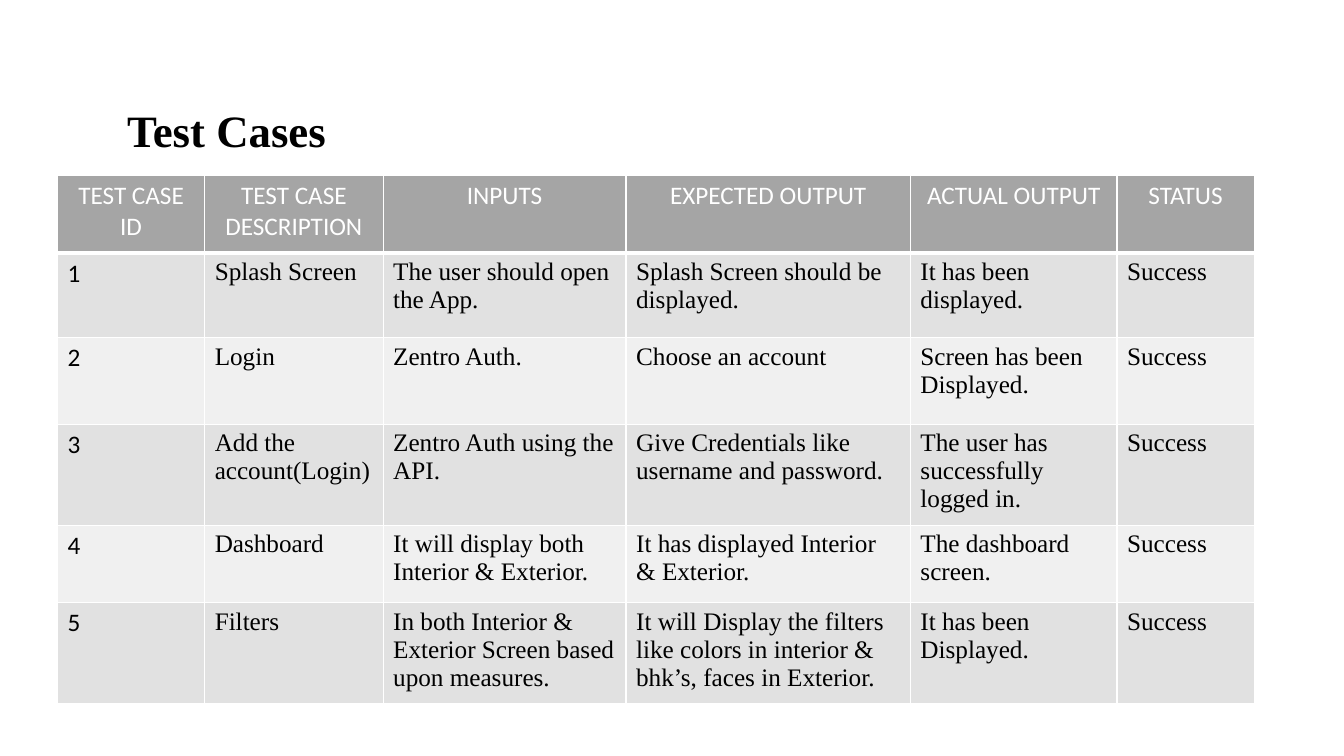
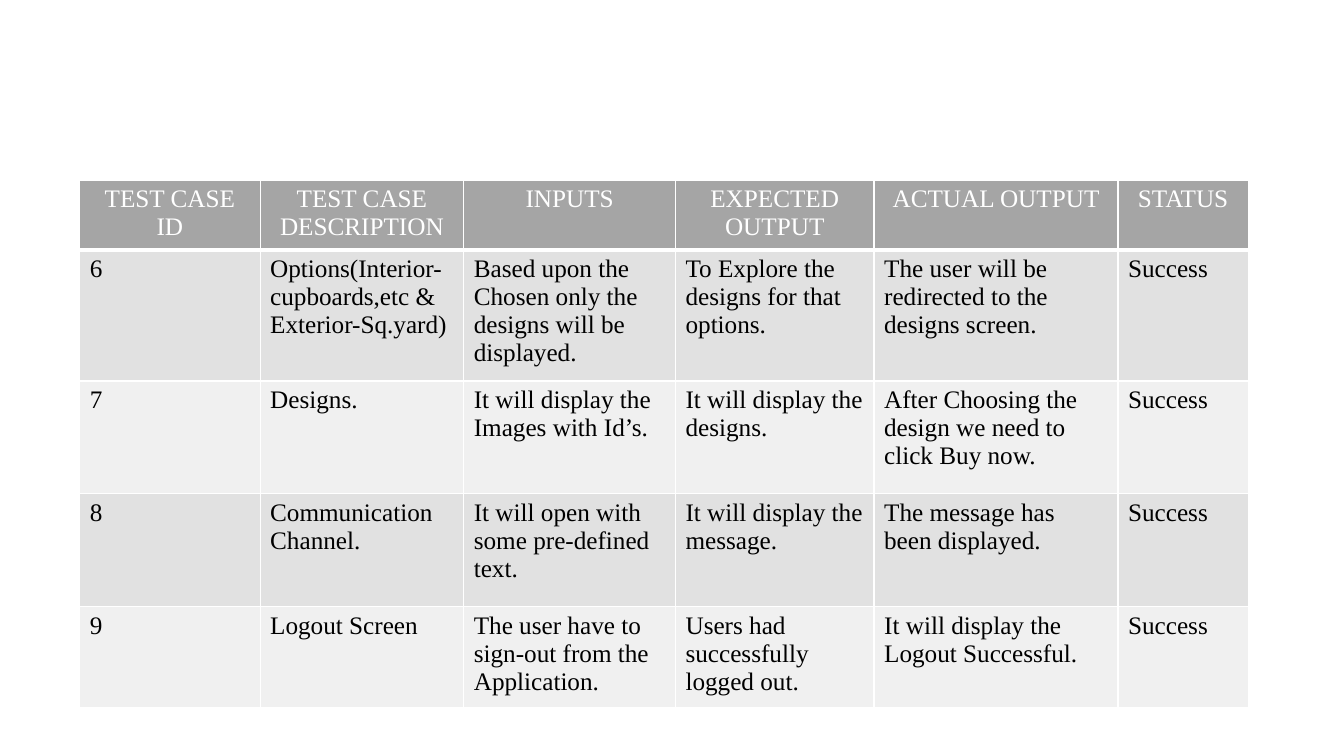
from pptx import Presentation
from pptx.dml.color import RGBColor
from pptx.enum.text import MSO_ANCHOR, PP_ALIGN
from pptx.oxml.xmlchemy import OxmlElement
from pptx.util import Inches, Pt

CENTER, LEFT, JUSTIFY = PP_ALIGN.CENTER, PP_ALIGN.LEFT, PP_ALIGN.JUSTIFY
MIDDLE = MSO_ANCHOR.MIDDLE
TITLE_ONLY, BLANK = 5, 6

COLORS = {"header": "A5A5A5", "odd": "E1E1E1", "even": "F0F0F0",
          "white": "FFFFFF", "black": "000000"}
SERIF, SANS = "Times New Roman", "Calibri"

# Content
HEADERS = ["TEST CASE ID", "TEST CASE DESCRIPTION", "INPUTS",
           "EXPECTED OUTPUT", "ACTUAL OUTPUT", "STATUS"]
STATUS = "Success"
SLIDES = [
    {
        "title": "Test Cases",
        "label_font": SANS,
        "origin": (0.57, 1.74),
        "cols": [1.46, 1.77, 2.41, 2.82, 2.05, 1.36],
        "rows": [0.77, 0.84, 0.86, 1, 0.77, 1],
        "cases": [
            ("1", "Splash Screen", "The user should open the App.",
             "Splash Screen should be displayed.", "It has been displayed."),
            ("2", "Login", "Zentro Auth.", "Choose an account",
             "Screen has been Displayed."),
            ("3", "Add the account(Login)", "Zentro Auth using the API.",
             "Give Credentials like username and password.",
             "The user has successfully logged in."),
            ("4", "Dashboard", "It will display both Interior & Exterior.",
             "It has displayed Interior & Exterior.", "The dashboard screen."),
            ("5", "Filters",
             "In both Interior & Exterior Screen based upon measures.",
             "It will Display the filters like colors in interior & bhk’s, "
             "faces in Exterior.", "It has been Displayed."),
        ],
    },
    {
        "title": None,
        "label_font": SERIF,
        "origin": (0.79, 1.79),
        "cols": [1.79, 2.02, 2.1, 1.97, 2.42, 1.29],
        "rows": [0.69, 1.3, 1.12, 1.12, 1],
        "cases": [
            ("6", "Options(Interior-cupboards,etc & Exterior-Sq.yard)",
             "Based upon the Chosen only the designs will be displayed.",
             "To Explore the designs for that options.",
             "The user will be redirected to the designs screen."),
            ("7", "Designs.", "It will display the Images with Id’s.",
             "It will display the designs.",
             "After Choosing the design we need to click Buy now."),
            ("8", "Communication Channel.",
             "It will open with some pre-defined text.",
             "It will display the message.", "The message has been displayed."),
            ("9", "Logout Screen",
             "The user have to sign-out from the Application.",
             "Users had successfully logged out.",
             "It will display the Logout Successful."),
        ],
    },
]


def rgb(name):
    return RGBColor.from_string(COLORS[name])


def format_text(p, font, size, color, align, bold=False):
    p.alignment = align
    for r in p.runs:
        r.font.name, r.font.size, r.font.bold = font, Pt(size), bold
        r.font.color.rgb = rgb(color)


def set_borders(cell, bottom):
    tc_pr = cell._tc.get_or_add_tcPr()
    widths = {"a:lnL": 1, "a:lnR": 1, "a:lnT": 1, "a:lnB": bottom}
    for i, (tag, width) in enumerate(widths.items()):
        ln, fill, clr = map(OxmlElement, (tag, "a:solidFill", "a:srgbClr"))
        ln.set("w", str(Pt(width)))
        clr.set("val", COLORS["white"])
        fill.append(clr)
        ln.append(fill)
        tc_pr.insert(i, ln)  # borders come before the cell fill


def add_title(s, text):
    title = s.shapes.title
    title.left, title.top = Inches(1.16), Inches(0.97)
    title.width, title.height = Inches(6.87), Inches(0.64)
    tf = title.text_frame
    tf.text = text
    tf.vertical_anchor = MIDDLE
    format_text(tf.paragraphs[0], SERIF, 32, "black", JUSTIFY, bold=True)


def add_case_table(s, data):
    cols, rows = data["cols"], data["rows"]
    x, y = data["origin"]
    table = s.shapes.add_table(len(rows), len(cols), Inches(x), Inches(y),
                               Inches(sum(cols)), Inches(sum(rows))).table
    table.first_row = table.horz_banding = False
    for column, width in zip(table.columns, cols):
        column.width = Inches(width)
    for row, height in zip(table.rows, rows):
        row.height = Inches(height)

    lines = [HEADERS] + [(*case, STATUS) for case in data["cases"]]
    for i, line in enumerate(lines):
        header = i == 0
        fill = "header" if header else "odd" if i % 2 else "even"
        for j, text in enumerate(line):
            cell = table.cell(i, j)
            cell.text = text
            cell.fill.solid()
            cell.fill.fore_color.rgb = rgb(fill)
            set_borders(cell, 3 if header else 1)
            format_text(cell.text_frame.paragraphs[0],
                        data["label_font"] if header or j == 0 else SERIF, 18,
                        "white" if header else "black",
                        CENTER if header else LEFT)


def main():
    prs = Presentation()
    prs.slide_width, prs.slide_height = Inches(13.33), Inches(7.5)
    for data in SLIDES:
        layout = TITLE_ONLY if data["title"] else BLANK
        s = prs.slides.add_slide(prs.slide_layouts[layout])
        if data["title"]:
            add_title(s, data["title"])
        add_case_table(s, data)
    prs.save("out.pptx")


if __name__ == "__main__":
    main()
